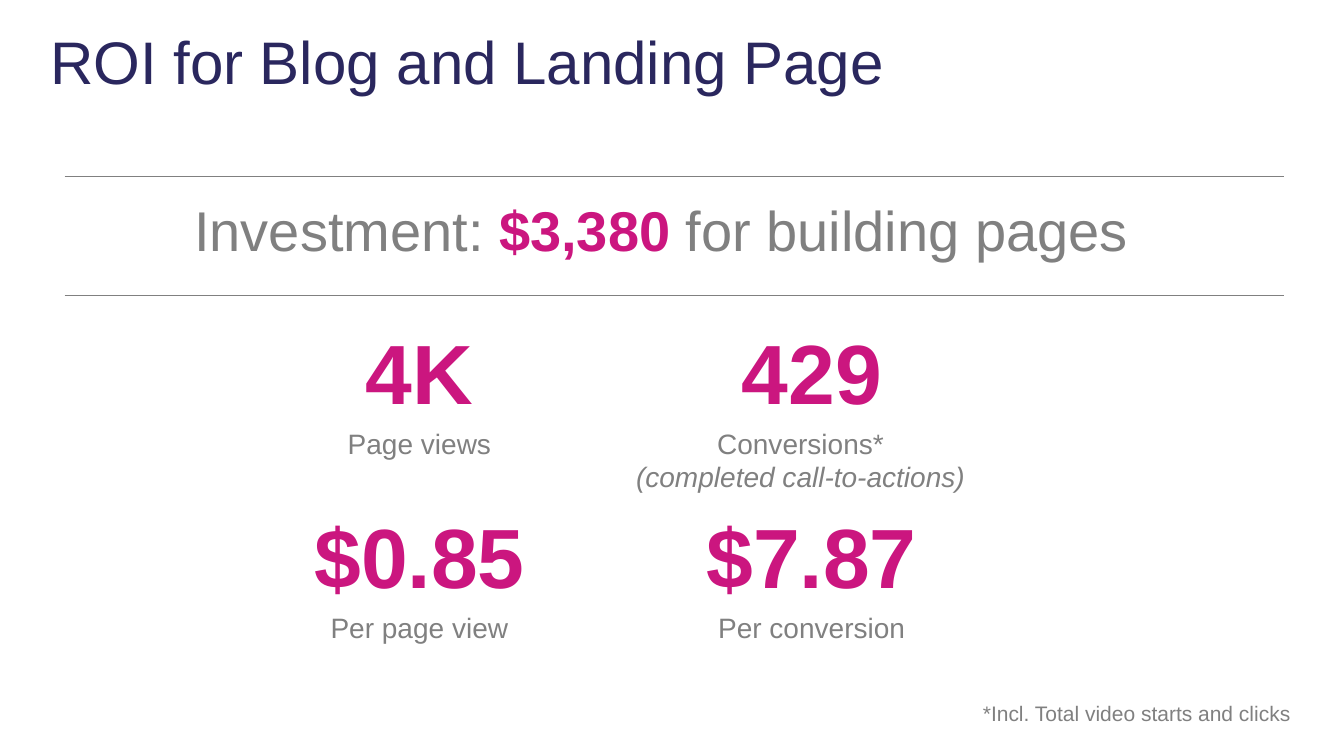
from pptx import Presentation
from pptx.dml.color import RGBColor
from pptx.enum import shapes, text
from pptx.oxml.ns import qn
from pptx.util import Inches, Pt
from lxml import etree

COLORS = {"title": "2A275E", "accent": "CB167F", "gray": "808080"}
CENTER, LEFT = text.PP_ALIGN.CENTER, text.PP_ALIGN.LEFT
NUMBER = {"size": Pt(60), "bold": True, "color": "accent"}
LABEL = {"size": Pt(20), "color": "gray"}
NOTE = {"size": Pt(15), "color": "gray"}
TITLE = {"size": Pt(42.9), "color": "title"}
INVEST = {"size": Pt(40), "color": "gray"}


def set_font(font, fmt):
    font.name = "Arial"
    for key, value in fmt.items():
        if key == "color":
            font.color.rgb = RGBColor.from_string(COLORS[value])
        else:
            setattr(font, key, value)


def add_text(s, box, paragraphs, align=CENTER):
    """Each paragraph is a list of (words, format) runs."""
    tf = s.shapes.add_textbox(*map(Inches, box)).text_frame
    tf.word_wrap = True
    for i, runs in enumerate(paragraphs):
        p = tf.add_paragraph() if i else tf.paragraphs[0]
        p.alignment = align
        for words, fmt in runs:
            r = p.add_run()
            r.text = words
            set_font(r.font, fmt)
    return tf


def add_title(s, box, words):
    tf = add_text(s, box, [[(words, TITLE)]], LEFT)
    tf.vertical_anchor = text.MSO_ANCHOR.MIDDLE
    tf.paragraphs[0].line_spacing = 0.9


def add_investment(s, box):
    """Headline between two horizontal rules."""
    x, y, w, h = box
    runs = [("Investment: ", INVEST),
            ("$3,380 ", {**INVEST, "bold": True, "color": "accent"}),
            ("for building pages", INVEST)]
    add_text(s, (x + 0.21, y + 0.14, 11.41, 1.08), [runs])
    for rule_y in (y, y + h):
        line = s.shapes.add_connector(
            shapes.MSO_CONNECTOR.STRAIGHT,
            *map(Inches, (x, rule_y, x + w, rule_y)))
        line.line.color.rgb = RGBColor.from_string(COLORS["gray"])
        line.line.width = Pt(0.5)
        etree.SubElement(line._element.spPr, qn("a:effectLst"))


def add_metric(s, box, number, label, detail=None):
    """Large number with its caption centred below."""
    x, y, w, h = box
    add_text(s, (x, y, w, 1.11), [[(number, NUMBER)]])
    caption = [[(label, LABEL)]]
    caption_x = x
    if detail:
        caption.append([(detail, {**LABEL, "italic": True})])
        caption_x -= 0.11  # optical shift for the asterisk
    add_text(s, (caption_x, y + 1.05, w, h - 1.05), caption)


def add_metrics(s, box, rows):
    x, y, w, h = box
    metric_w, metric_h = 3.82, 1.82
    for i, row in enumerate(rows):
        for j, metric in enumerate(row):
            cell = (x + j * (w - metric_w), y + i * (h - metric_h),
                    metric_w, metric_h)
            add_metric(s, cell, *metric)


def main():
    prs = Presentation()
    prs.slide_width, prs.slide_height = Inches(13.33), Inches(7.5)
    s = prs.slides.add_slide(prs.slide_layouts[6])

    add_title(s, (0.4, 0.27, 11.5, 0.76), "ROI for Blog and Landing Page")
    add_investment(s, (0.64, 1.75, 12.09, 1.18))
    add_metrics(s, (2.25, 3.13, 7.71, 3.65), [
        [("4K", "Page views"),
         ("429", "Conversions*", "(completed call-to-actions)")],
        [("$0.85", "Per page view"), ("$7.87", "Per conversion")],
    ])
    # Footnote
    add_text(s, (9.65, 6.9, 4.21, 0.66),
             [[("*Incl. Total video starts and clicks", NOTE)]], LEFT)

    prs.save("out.pptx")


if __name__ == "__main__":
    main()
